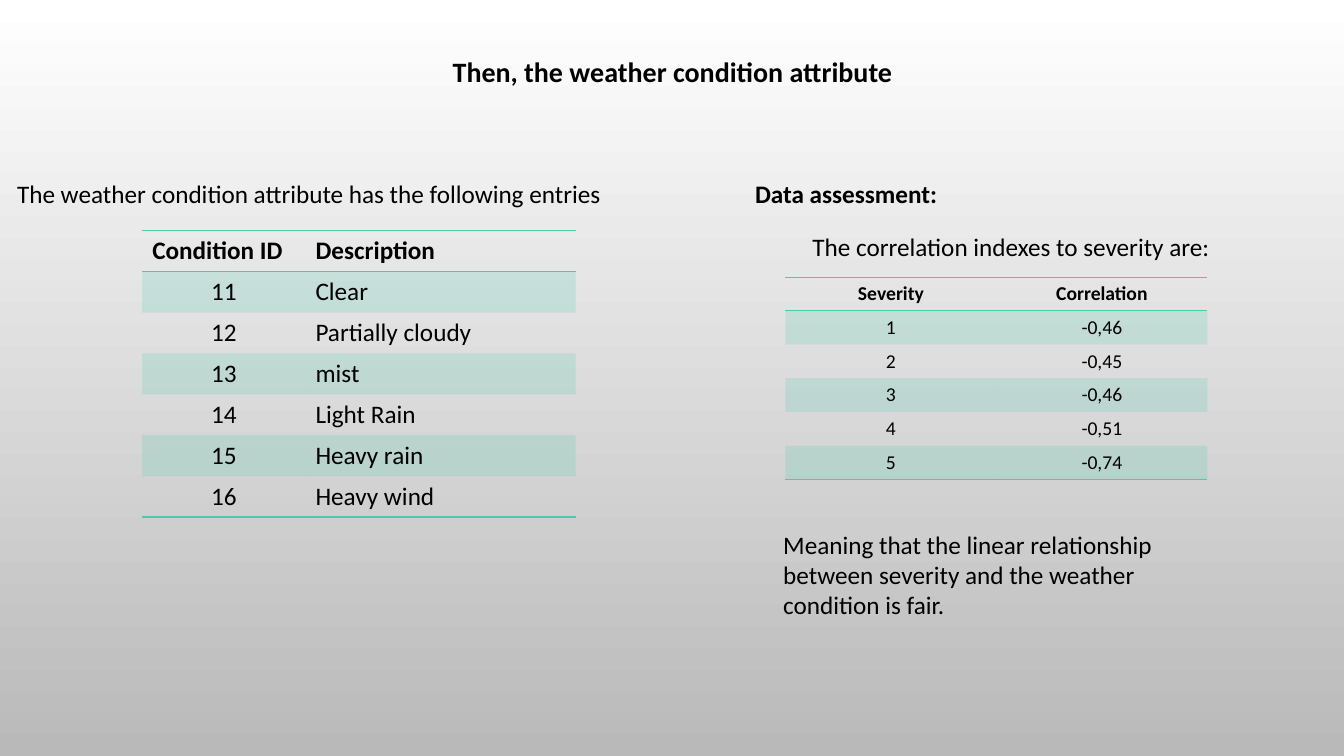
from dataclasses import dataclass

from lxml import etree
from pptx import Presentation
from pptx import util as u
from pptx.dml import color
from pptx.enum import text
from pptx.oxml import ns
from pptx.slide import Slide
from pptx.table import Table, _Cell
from pptx.text.text import TextFrame

WIDTH, HEIGHT = u.Inches(13.33), u.Inches(7.5)
FONT, INK, TEAL = "Calibri", "000000", "4BCAAD"
PLAIN_STYLE = "{2D5ABB26-0587-4C30-8999-92F81FD0307C}"
LEFT, CENTER = text.PP_ALIGN.LEFT, text.PP_ALIGN.CENTER
TOP, MIDDLE = text.MSO_ANCHOR.TOP, text.MSO_ANCHOR.MIDDLE


@dataclass
class Note:
    words: str
    left: float
    top: float
    width: float
    height: float
    size: int = 18
    bold: bool = False
    align: text.PP_ALIGN = LEFT


@dataclass
class Grid:
    left: float
    top: float
    columns: list[float]
    row: float
    size: int
    anchor: text.MSO_ANCHOR
    header_align: text.PP_ALIGN
    aligns: list[text.PP_ALIGN]
    rows: list[tuple[str, str]]


NOTES = [
    Note("Then, the weather condition attribute", 32.11, 6.53, 35.86, 5.87, 20, True, CENTER),
    Note("The weather condition attribute has the following entries", 0.53, 22.93, 46.81, 5.33),
    Note("The correlation indexes to severity are:", 59.71, 30, 35.86, 5.33),
    Note("Data assessment:", 55.44, 22.93, 17.48, 5.33, bold=True),
    Note("Meaning that the linear relationship between severity and the weather "
         "condition is fair.", 57.54, 69.33, 33.31, 13.47),
]

GRIDS = [
    Grid(10.58, 30.53, [12.15, 20.11], 5.41, 18, TOP, LEFT, [CENTER, LEFT], [
        ("Condition ID", "Description"),
        ("11", "Clear"),
        ("12", "Partially cloudy"),
        ("13", "mist"),
        ("14", "Light Rain"),
        ("15", "Heavy rain"),
        ("16", "Heavy wind"),
    ]),
    Grid(58.44, 36.67, [15.7, 15.7], 4.44, 14, MIDDLE, CENTER, [CENTER, CENTER], [
        ("Severity", "Correlation"),
        ("1", "-0,46"),
        ("2", "-0,45"),
        ("3", "-0,46"),
        ("4", "-0,51"),
        ("5", "-0,74"),
    ]),
]


def across(percent: float) -> int:
    return round(WIDTH * percent / 100)


def down(percent: float) -> int:
    return round(HEIGHT * percent / 100)


def paint(target: color.ColorFormat, value: str) -> None:
    target.rgb = color.RGBColor.from_string(value)


def write(frame: TextFrame, words: str, align: text.PP_ALIGN, size: int, bold: bool) -> None:
    para = frame.paragraphs[0]
    para.alignment = align
    span = para.add_run()
    span.text = words
    for name, value in {"name": FONT, "size": u.Pt(size), "bold": bold}.items():
        setattr(span.font, name, value)
    paint(span.font.color, INK)


def add_note(page: Slide, note: Note) -> None:
    box = page.shapes.add_textbox(across(note.left), down(note.top),
                                  across(note.width), down(note.height))
    box.text_frame.word_wrap = True
    box.text_frame.auto_size = text.MSO_AUTO_SIZE.SHAPE_TO_FIT_TEXT
    write(box.text_frame, note.words, note.align, note.size, note.bold)


def fill_cell(cell: _Cell, banded: bool) -> None:
    if not banded:
        cell.fill.background()
        return
    cell.fill.solid()
    paint(cell.fill.fore_color, TEAL)
    tint = cell._tc.tcPr.find(".//" + ns.qn("a:srgbClr"))
    etree.SubElement(tint, ns.qn("a:alpha"), val="20000")


def rule_cell(cell: _Cell, sides: list[str]) -> None:
    for place, side in enumerate(sides):
        line = etree.Element(ns.qn(f"a:ln{side}"), w=str(u.Pt(1)))
        solid = etree.SubElement(line, ns.qn("a:solidFill"))
        etree.SubElement(solid, ns.qn("a:srgbClr"), val=TEAL)
        cell._tc.tcPr.insert(place, line)


def clear_style(table: Table) -> None:
    table.first_row = table.horz_banding = False
    table._tbl.tblPr.find(ns.qn("a:tableStyleId")).text = PLAIN_STYLE


def add_grid(page: Slide, grid: Grid) -> None:
    count = len(grid.rows)
    table = page.shapes.add_table(count, len(grid.columns), across(grid.left), down(grid.top),
                                  across(sum(grid.columns)), down(grid.row * count)).table
    clear_style(table)
    for column, width in zip(table.columns, grid.columns):
        column.width = across(width)
    for index, entries in enumerate(grid.rows):
        table.rows[index].height = down(grid.row)
        header = index == 0
        sides = ["T", "B"] if header else ["B"] if index == count - 1 else []
        for place, words in enumerate(entries):
            cell = table.cell(index, place)
            cell.vertical_anchor = grid.anchor
            align = grid.header_align if header else grid.aligns[place]
            write(cell.text_frame, words, align, grid.size, header)
            fill_cell(cell, index % 2 == 1)
            rule_cell(cell, sides)


def set_background(page: Slide) -> None:
    fill = page.background.fill
    fill.gradient()
    fill.gradient_angle = 270
    for stop, value in zip(fill.gradient_stops, ["FFFFFF", "B9B9B9"]):
        paint(stop.color, value)


def main() -> None:
    deck = Presentation()
    deck.slide_width, deck.slide_height = WIDTH, HEIGHT
    page = deck.slides.add_slide(deck.slide_layouts[6])
    set_background(page)
    for note in NOTES:
        add_note(page, note)
    for grid in GRIDS:
        add_grid(page, grid)
    deck.save("out.pptx")


if __name__ == "__main__":
    main()
